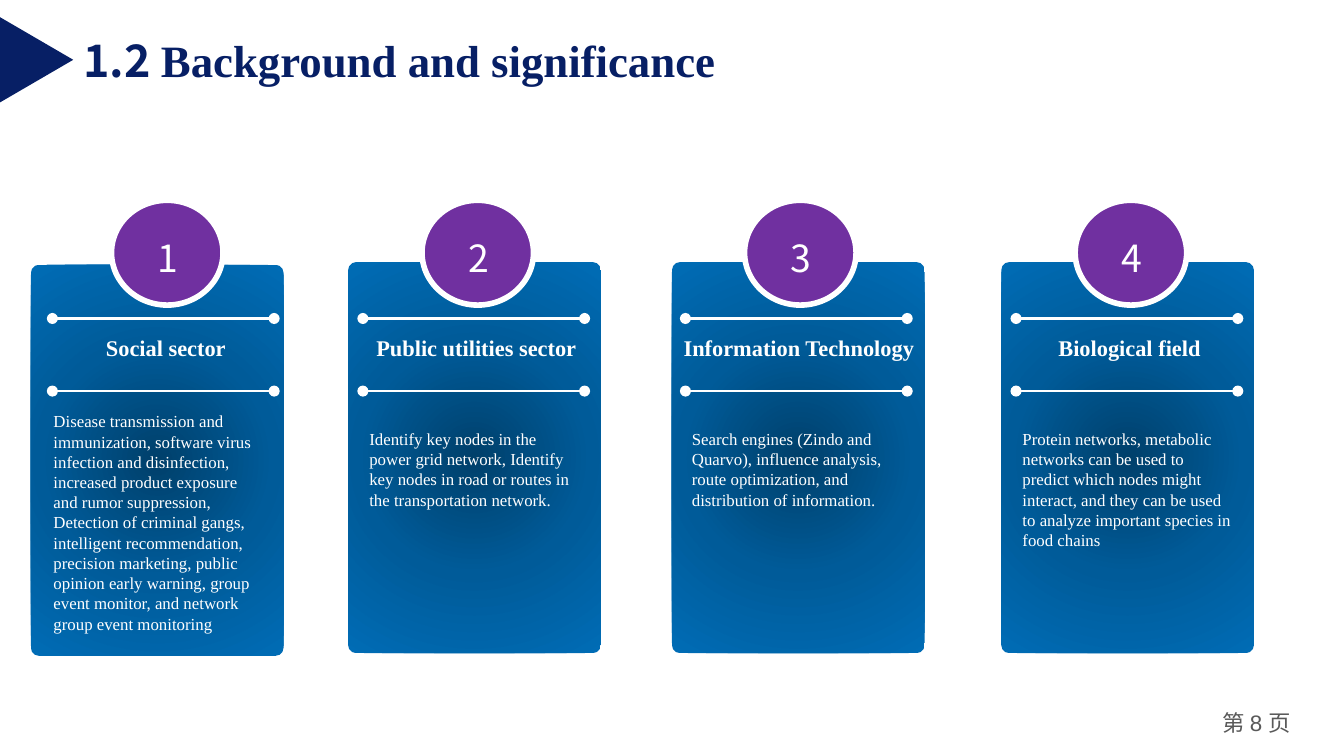
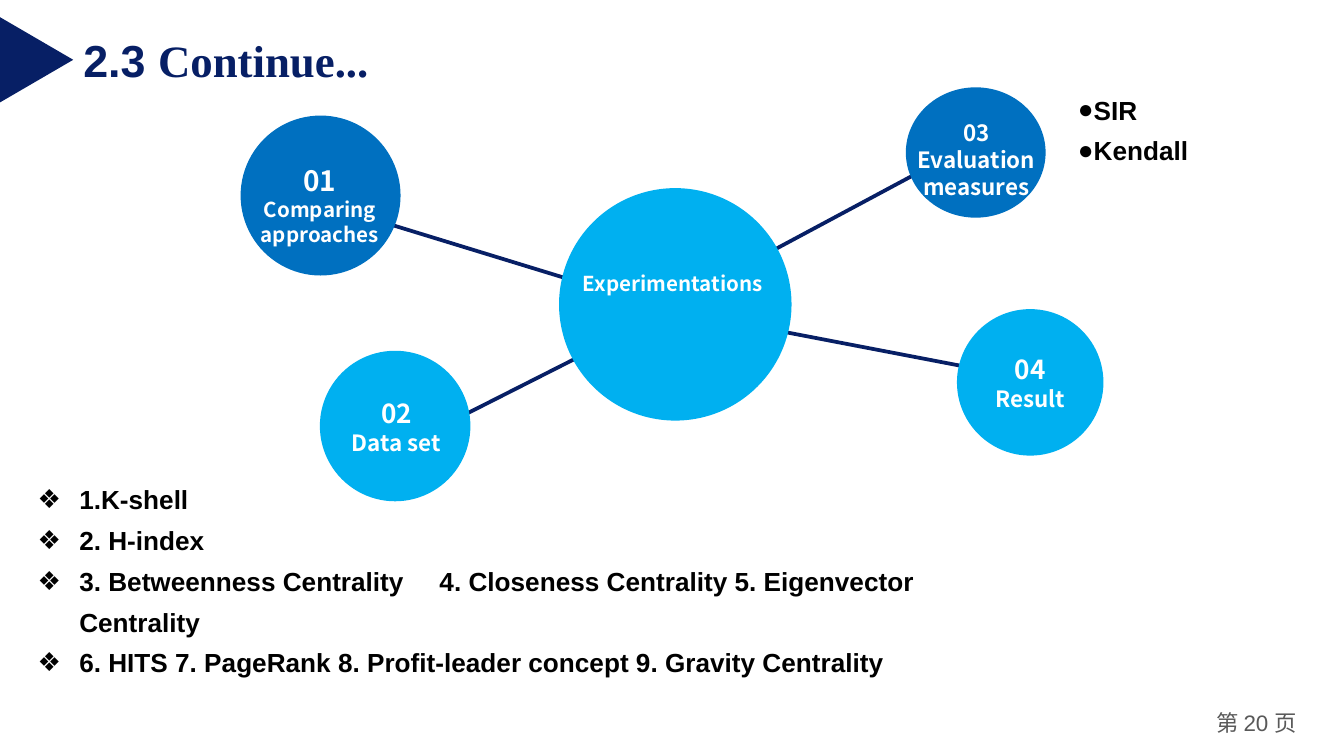
"""Build two slides on key nodes in networks: background and experiments."""
import pptx
import pptx.util
import pptx.dml.color
import pptx.enum.shapes
import pptx.enum.text
import pptx.oxml.ns
from lxml import etree

Inches = pptx.util.Inches
Pt = pptx.util.Pt
qn = pptx.oxml.ns.qn
KIND = pptx.enum.shapes.MSO_SHAPE
ALIGN = pptx.enum.text.PP_ALIGN
ANCHOR = pptx.enum.text.MSO_ANCHOR
FIT = pptx.enum.text.MSO_AUTO_SIZE

HUES = {"navy": "071F65", "white": "FFFFFF", "black": "000000", "grey": "595959",
        "plum": "7030A0", "blue": "0070C0", "sky": "00B0F0"}
GLOW = {0: "00406B", 50000: "005B99", 100000: "006CB5"}
SANS, SERIF, ARIAL = "Noto Sans CJK SC", "Times New Roman", "Arial"


def hue(name):
    return pptx.dml.color.RGBColor.from_string(HUES[name])


def add(node, tag, **attrs):
    return etree.SubElement(node, qn(tag), {k: str(v) for k, v in attrs.items()})


class Deck:
    def __init__(self):
        self.prs = pptx.Presentation()
        self.prs.slide_width = Inches(10)
        self.prs.slide_height = Inches(10) * 9 // 16
        self.slide = None

    def page(self, layout, number, label, title, font, box):
        self.slide = self.prs.slides.add_slide(self.prs.slide_layouts[layout])
        style = {"size": 24, "color": "navy", "bold": True}
        head = self.place(self.slide.shapes.title, box)
        self.fill(head, [[(label + " ", {**style, "name": font}),
                          (title, {**style, "name": SERIF})]], wrap=False)
        mark = self.shape(KIND.ISOSCELES_TRIANGLE, (-0.05, 0.17, 0.64, 0.55), "navy")
        mark.rotation = 90
        style = {"size": 12, "color": "grey"}
        runs = [("第 ", {**style, "name": SANS}), (f"{number} ", {**style, "name": ARIAL}),
                ("页", {**style, "name": SANS})]
        self.text((8.9, 5.24, 0.9, 0.3), [runs], align=ALIGN.CENTER, fit=FIT.NONE,
                  inset=(0.07, 0.04))

    def place(self, item, box):
        for key, size in zip(("left", "top", "width", "height"), box):
            setattr(item, key, Inches(size))
        return item

    def fill(self, item, paras, align=ALIGN.LEFT, anchor=ANCHOR.TOP, wrap=True,
             fit=FIT.SHAPE_TO_FIT_TEXT, space=1, bullet=None, tab=None, inset=(0.1, 0.05)):
        frame = item.text_frame
        side, edge = map(Inches, inset)
        looks = {"word_wrap": wrap, "auto_size": fit, "vertical_anchor": anchor,
                 "margin_left": side, "margin_right": side,
                 "margin_top": edge, "margin_bottom": edge}
        for key, value in looks.items():
            setattr(frame, key, value)
        for i, runs in enumerate(paras):
            para = frame.add_paragraph() if i else frame.paragraphs[0]
            looks = {"alignment": align, "line_spacing": space, "space_before": Pt(0)}
            for key, value in looks.items():
                setattr(para, key, value)
            if bullet:
                sign, dent = bullet
                props = para._p.get_or_add_pPr()
                props.set("marL", str(Inches(dent)))
                props.set("indent", str(-Inches(dent)))
                add(props, "a:buFont", typeface=ARIAL)
                add(props, "a:buChar", char=sign)
                if tab:
                    add(add(props, "a:tabLst"), "a:tab", pos=Inches(tab), algn="l")
            for words, style in runs:
                self.run(para, words, style)

    def run(self, para, words, style):
        run = para.add_run()
        run.text = words
        for key, value in style.items():
            if key == "color":
                run.font.color.rgb = hue(value)
            else:
                setattr(run.font, key, Pt(value) if key == "size" else value)
        add(run._r.get_or_add_rPr(), "a:ea", typeface=style["name"])

    def text(self, box, paras, **looks):
        item = self.slide.shapes.add_textbox(*map(Inches, box))
        self.fill(item, paras, **looks)

    def list(self, index, box, lines, **looks):
        style = {"size": 14, "name": ARIAL, "color": "black", "bold": True}
        item = self.place(self.slide.placeholders[index], box)
        self.fill(item, [[(line, style)] for line in lines], space=1.3, **looks)

    def shape(self, kind, box, color=None, edge=None):
        item = self.slide.shapes.add_shape(kind, *map(Inches, box))
        item.shadow.inherit = False
        if color:
            item.fill.solid()
            item.fill.fore_color.rgb = hue(color)
        if edge:
            item.line.color.rgb, item.line.width = hue(edge), Pt(3)
        else:
            item.line.fill.background()
        return item

    def panel(self, box):
        item = self.shape(KIND.ROUNDED_RECTANGLE, box)
        item.adjustments[0] = 0.032
        grad = etree.Element(qn("a:gradFill"), rotWithShape="1")
        stops = add(grad, "a:gsLst")
        for pos, color in GLOW.items():
            add(add(stops, "a:gs", pos=pos), "a:srgbClr", val=color)
        way = add(grad, "a:path", path="circle")
        add(way, "a:fillToRect", **dict.fromkeys("ltrb", 50000))
        item._element.spPr.find(qn("a:prstGeom")).addnext(grad)

    def line(self, start, end, color, width, dots=False):
        item = self.slide.shapes.add_connector(
            pptx.enum.shapes.MSO_CONNECTOR.STRAIGHT, *map(Inches, start + end))
        item.line.color.rgb, item.line.width = hue(color), Pt(width)
        if dots:
            for tag in ("a:headEnd", "a:tailEnd"):
                add(item.line._get_or_add_ln(), tag, type="oval")
        add(item._element.spPr, "a:effectLst")

    def card(self, number, x, panel, body, title, lines):
        small = {"size": 9, "name": SERIF, "color": "white"}
        bold = {**small, "size": 12, "bold": True}
        digit = {"size": 20, "name": SANS, "color": "white"}
        self.panel((*panel, 1.88, 2.91))
        for y in (2.37, 2.91):
            self.line((x, y), (x + 1.65, y), "white", 1.5, dots=True)
        self.text(body, [[(line, small)] for line in lines])
        self.text((x - 0.13, 2.44, 1.95, 0.3), [[(title, bold)]], align=ALIGN.CENTER)
        self.shape(KIND.OVAL, (x + 0.44, 1.49, 0.83, 0.78), "plum", "white")
        self.text((x + 0.57, 1.7, 0.58, 0.44), [[(str(number), digit)]],
                  align=ALIGN.CENTER, anchor=ANCHOR.MIDDLE)

    def node(self, oval, color, box, lines):
        self.shape(KIND.OVAL, oval, color)
        style = {"name": SANS, "color": "white", "bold": True}
        self.text(box, [[(words, {**style, "size": size})] for words, size in lines],
                  align=ALIGN.CENTER)


def main():
    deck = Deck()
    deck.page(5, 8, "1.2", "Background and significance", SANS, (0.52, 0.19, 4.98, 0.99))
    cards = [
        (0.39, (0.23, 1.97), (0.3, 3.01, 1.76, 1.77), "Social sector",
         ["Disease transmission and immunization, software virus infection and disinfection,",
          "increased product exposure and rumor suppression, Detection of criminal gangs, "
          "intelligent recommendation, precision marketing, public opinion early warning, "
          "group event monitor, and network group event monitoring"]),
        (2.7, (2.59, 1.95), (2.65, 3.14, 1.76, 0.71), "Public utilities sector",
         ["Identify key nodes in the power grid network, Identify key nodes in road or "
          "routes in the transportation network."]),
        (5.1, (5, 1.95), (5.05, 3.14, 1.76, 0.98), "Information Technology",
         ["Search engines (Zindo and Quarvo), influence analysis, route optimization, and "
          "distribution of information."]),
        (7.56, (7.45, 1.95), (7.51, 3.14, 1.76, 1.01), "Biological field",
         ["Protein networks, metabolic networks can be used to predict which nodes might "
          "interact, and they can be used to analyze important species in food chains"]),
    ]
    for number, card in enumerate(cards, 1):
        deck.card(number, *card)

    deck.page(3, 20, "2.3", "Continue...", ARIAL, (0.52, 0.19, 2.34, 0.5))
    for start, end in [((2.74, 1.62), (4.96, 2.3)), ((3.37, 3.13), (4.97, 2.32)),
                       ((4.9, 2.32), (6.99, 1.2)), ((4.95, 2.3), (7.66, 2.82))]:
        deck.line(start, end, "navy", 2)
    nodes = [
        ((4.16, 1.4, 1.73, 1.73), "sky", (4.16, 1.97, 1.73, 0.29),
         [("Experimentations ", 11)]),
        ((6.74, 0.65, 1.04, 0.97), "blue", (6.49, 0.84, 1.55, 0.71),
         [("03", 12), ("Evaluation measures", 12)]),
        ((1.79, 0.86, 1.19, 1.19), "blue", (1.49, 1.17, 1.78, 0.72),
         [("01", 15), ("Comparing approaches", 11)]),
        ((7.12, 2.3, 1.09, 1.09), "sky", (6.85, 2.58, 1.63, 0.54),
         [("04", 14), ("Result", 12)]),
        ((2.38, 2.61, 1.12, 1.12), "sky", (2.11, 2.91, 1.68, 0.54),
         [("02", 14), ("Data set", 12)]),
    ]
    for node in nodes:
        deck.node(*node)
    deck.list(1, (0.18, 3.48, 7.4, 1.94), [
        "1.K-shell", "2. H-index",
        "3. Betweenness Centrality\t4. Closeness Centrality 5. Eigenvector Centrality",
        "6. HITS 7. PageRank 8. Profit-leader concept 9. Gravity Centrality",
    ], bullet=("❖", 0.31), tab=2.99)
    deck.list(2, (7.92, 0.58, 1.94, 0.71), ["SIR", "Kendall"], bullet=("●", 0))
    deck.prs.save("out.pptx")


if __name__ == "__main__":
    main()
